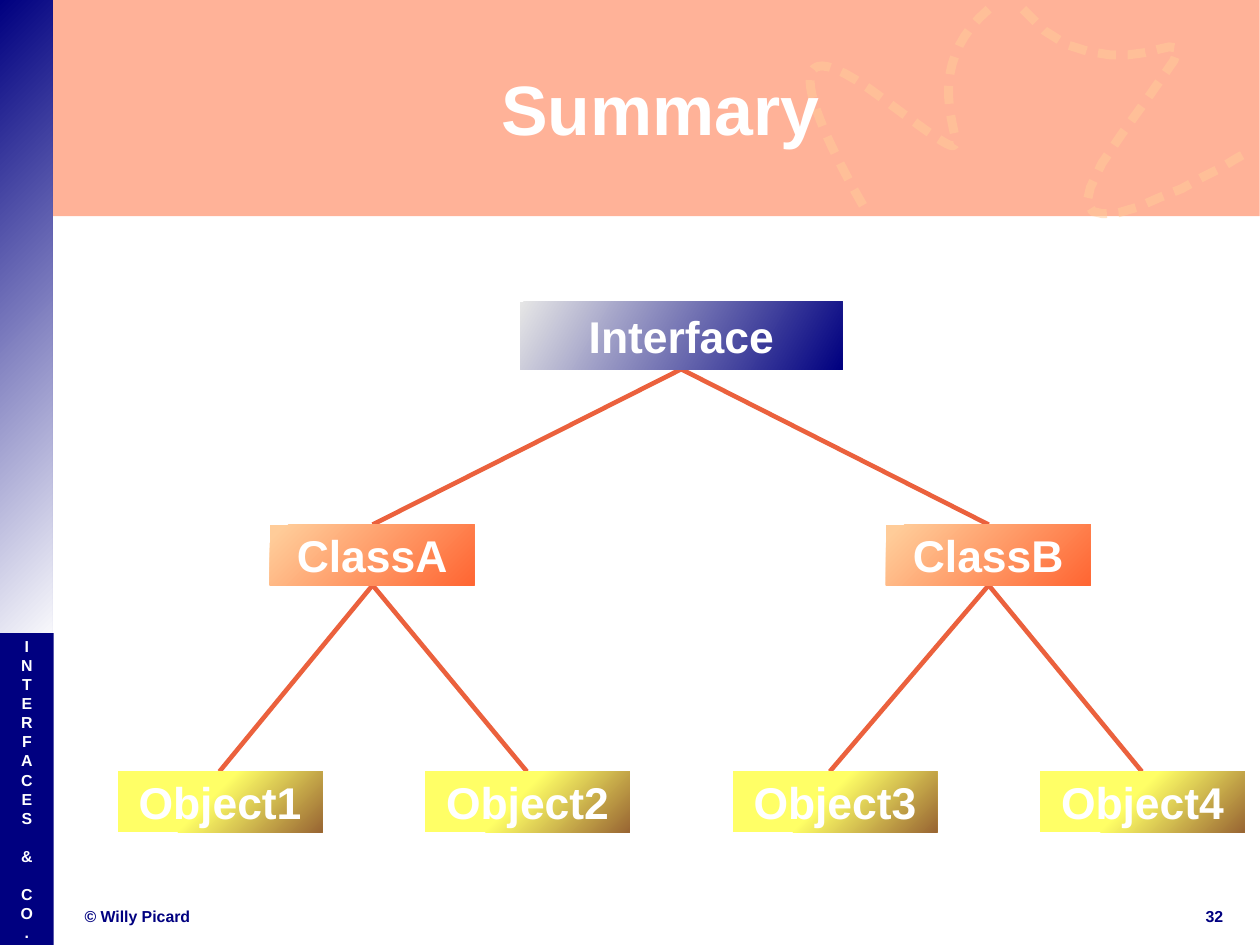
import pptx
import pptx.util
import pptx.dml.color
import pptx.enum.dml
import pptx.enum.shapes
import pptx.enum.text
import pptx.oxml.ns
from lxml import etree
from pptx.util import Inches

THEME = {
    "font": "Arial",
    "title_size": 44,
    "node_size": 28,
    "small_size": 10,
    "letter_pitch": 12,
    "navy": "000080",
    "white": "FFFFFF",
    "orange": "FF6633",
    "peach": "FFCC99",
    "link": "EB613D",
    "interface_fill": ("E6E6E6", 0, "000080", 30),
    "class_fill": ("FFCC99", 0.05, "FF6633", 45),
    "object_fill": ("FFFF66", 0.45, "996633", 45),
    "sidebar_fill": ("000080", 0, "FFFFFF", 45),
}
RGB = pptx.dml.color.RGBColor.from_string
ALIGN = pptx.enum.text.PP_ALIGN
RECTANGLE = pptx.enum.shapes.MSO_SHAPE.RECTANGLE
qn = pptx.oxml.ns.qn

deck = pptx.Presentation()
deck.slide_width = Inches(28 / 2.54)
deck.slide_height = Inches(21 / 2.54)
slide = deck.slides.add_slide(deck.slide_layouts[6])
shapes = slide.shapes


def add_block(left, top, width, height, fill):
    block = shapes.add_shape(RECTANGLE, Inches(left), Inches(top), Inches(width), Inches(height))
    block.shadow.inherit = False
    block.line.fill.background()
    if isinstance(fill, str):
        block.fill.solid()
        block.fill.fore_color.rgb = RGB(fill)
    else:
        first, start, last, angle = fill
        block.fill.gradient()
        block.fill.gradient_angle = 360 - angle
        stops = block.fill.gradient_stops
        stops[0].color.rgb, stops[0].position = RGB(first), start
        stops[1].color.rgb, stops[1].position = RGB(last), 1
    return block


def write(holder, lines, size, color, align=ALIGN.CENTER):
    frame = holder.text_frame
    frame.word_wrap = True
    frame.vertical_anchor = pptx.enum.text.MSO_ANCHOR.MIDDLE
    frame.margin_left = frame.margin_right = frame.margin_top = frame.margin_bottom = 0
    for index, line in enumerate(lines):
        paragraph = frame.paragraphs[0] if index == 0 else frame.add_paragraph()
        paragraph.alignment = align
        run = paragraph.add_run()
        run.text = line
        run.font.name = THEME["font"]
        run.font.size = pptx.util.Pt(size)
        run.font.bold = True
        run.font.color.rgb = RGB(color)
    return frame.paragraphs


label_place = (0, 5.54, 0.47, 2.73)
header = add_block(0, 0, 11.02, 1.89, THEME["orange"])
add_block(0, 0, 0.46, 5.72, THEME["sidebar_fill"])
add_block(*label_place, THEME["navy"])

left_curves = [
    [(8.65, 0.08), (7.74, 0.86), (9.05, 1.85), (7.72, 0.86)],
    [(7.72, 0.86), (6.39, -0.14), (7.57, 1.83), (7.57, 1.83)],
]
left_trail = []
for curve in left_curves:
    for step in range(31):
        t = step / 30
        weights = ((1 - t) ** 3, 3 * t * (1 - t) ** 2, 3 * t ** 2 * (1 - t), t ** 3)
        left_trail.append([sum(w * point[axis] for w, point in zip(weights, curve)) for axis in (0, 1)])
right_trail = [
    (8.95, 0.08), (9.14, 0.27), (9.33, 0.39), (9.52, 0.45), (9.71, 0.48), (9.87, 0.48),
    (10.02, 0.46), (10.14, 0.43), (10.23, 0.41), (10.29, 0.42), (10.3, 0.45), (10.27, 0.53),
    (10.18, 0.66), (10.04, 0.86), (9.83, 1.15), (9.64, 1.43), (9.54, 1.64), (9.51, 1.77),
    (9.56, 1.85), (9.65, 1.87), (9.79, 1.86), (9.96, 1.81), (10.14, 1.73), (10.34, 1.65),
    (10.52, 1.55), (10.68, 1.47), (10.81, 1.39), (10.9, 1.34), (10.94, 1.32),
]
translucent = [header]
for trail in (left_trail, right_trail):
    points = [(Inches(x), Inches(y)) for x, y in trail]
    builder = shapes.build_freeform(*points[0])
    builder.add_line_segments(points[1:], close=False)
    ribbon = builder.convert_to_shape()
    ribbon.shadow.inherit = False
    ribbon.fill.background()
    ribbon.line.color.rgb = RGB(THEME["peach"])
    ribbon.line.width = pptx.util.Pt(5.67)
    ribbon.line.dash_style = pptx.enum.dml.MSO_LINE.DASH
    preset_dash = next(ribbon.element.iter(qn("a:prstDash")))
    custom_dash = etree.Element(qn("a:custDash"))
    etree.SubElement(custom_dash, qn("a:ds"), d="200000", sp="130000")
    preset_dash.getparent().replace(preset_dash, custom_dash)
    translucent.append(ribbon)
for part in translucent:
    for color in part.element.iter(qn("a:srgbClr")):
        etree.SubElement(color, qn("a:alpha"), val="50000")

words = ["INTERFACES", "&", "CO."]
captions = [
    (["© Willy Picard"], (0.74, 7.92, 4.47, 0.19), "small_size", "navy", ALIGN.LEFT),
    (["32"], (10.46, 7.92, 0.33, 0.19), "small_size", "navy", ALIGN.CENTER),
    (["Summary"], (0.78, 0.25, 10, 1.38), "title_size", "white", ALIGN.CENTER),
    ("".join(words), label_place, "small_size", "white", ALIGN.CENTER),
]
for caption, place, size, color, align in captions:
    holder = shapes.add_textbox(*[Inches(value) for value in place])
    letters = write(holder, caption, THEME[size], THEME[color], align)

for letter in letters:
    letter.line_spacing = pptx.util.Pt(THEME["letter_pitch"])
for word_start in (len(words[0]), len(words[0]) + len(words[1])):
    letters[word_start].space_before = pptx.util.Pt(THEME["letter_pitch"])

interface_foot = (5.96, 3.23)
class_centers = (3.26, 8.65)
object_ends = ((1.92, 4.61), (7.26, 9.99))
links = [(interface_foot, (center, 4.59)) for center in class_centers]
for center, ends in zip(class_centers, object_ends):
    links += [((center, 5.12), (end, 6.75)) for end in ends]
for start, end in links:
    link = shapes.add_connector(
        pptx.enum.shapes.MSO_CONNECTOR.STRAIGHT, *[Inches(value) for value in start + end])
    link.line.color.rgb = RGB(THEME["link"])
    link.line.width = pptx.util.Pt(2.89)
    etree.SubElement(link.element.spPr, qn("a:effectLst"))

nodes = [("Interface", (4.55, 2.64, 2.82, 0.59), "interface_fill")]
for index in range(4):
    nodes.append((f"Object{index + 1}", (1.03 + 2.69 * index, 6.75, 1.79, 0.53), "object_fill"))
for index, letter in enumerate("AB"):
    nodes.append((f"Class{letter}", (2.36 + 5.39 * index, 4.59, 1.79, 0.53), "class_fill"))
for label, place, fill in nodes:
    write(add_block(*place, THEME[fill]), [label], THEME["node_size"], THEME["white"])

deck.save("out.pptx")
